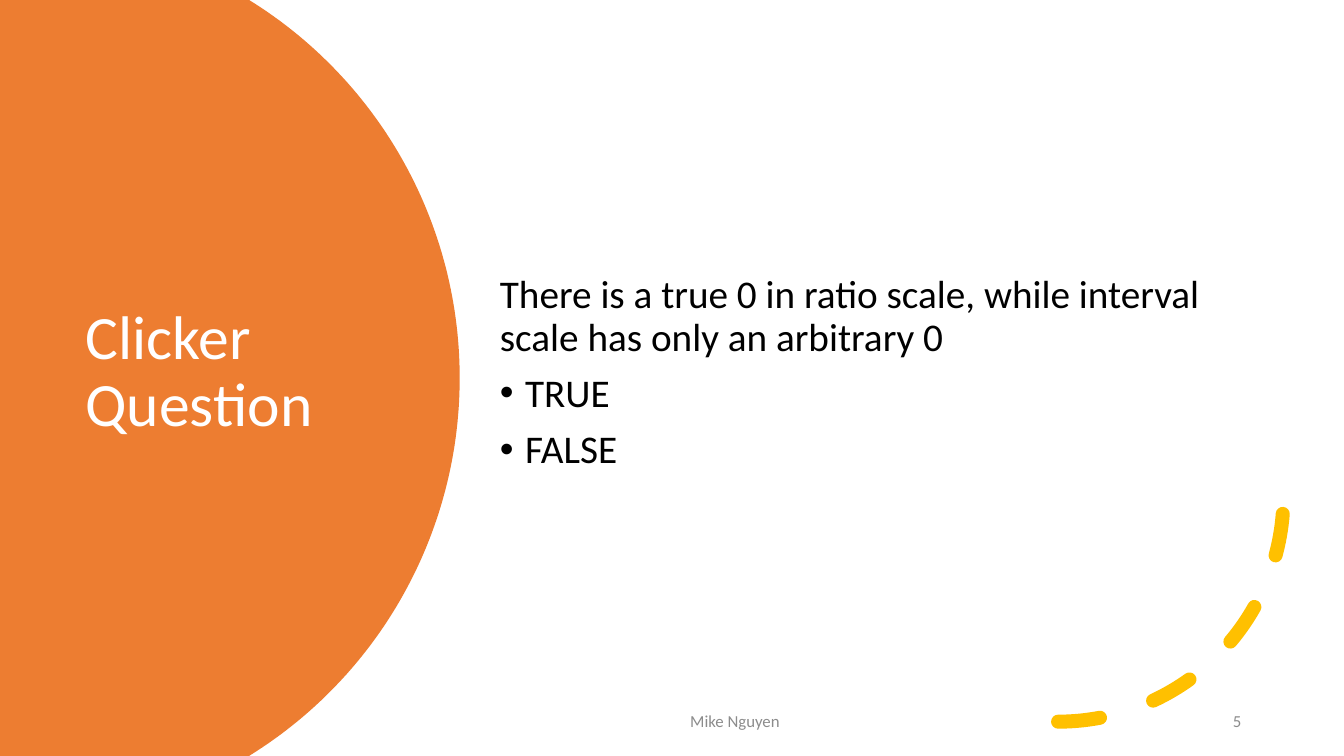
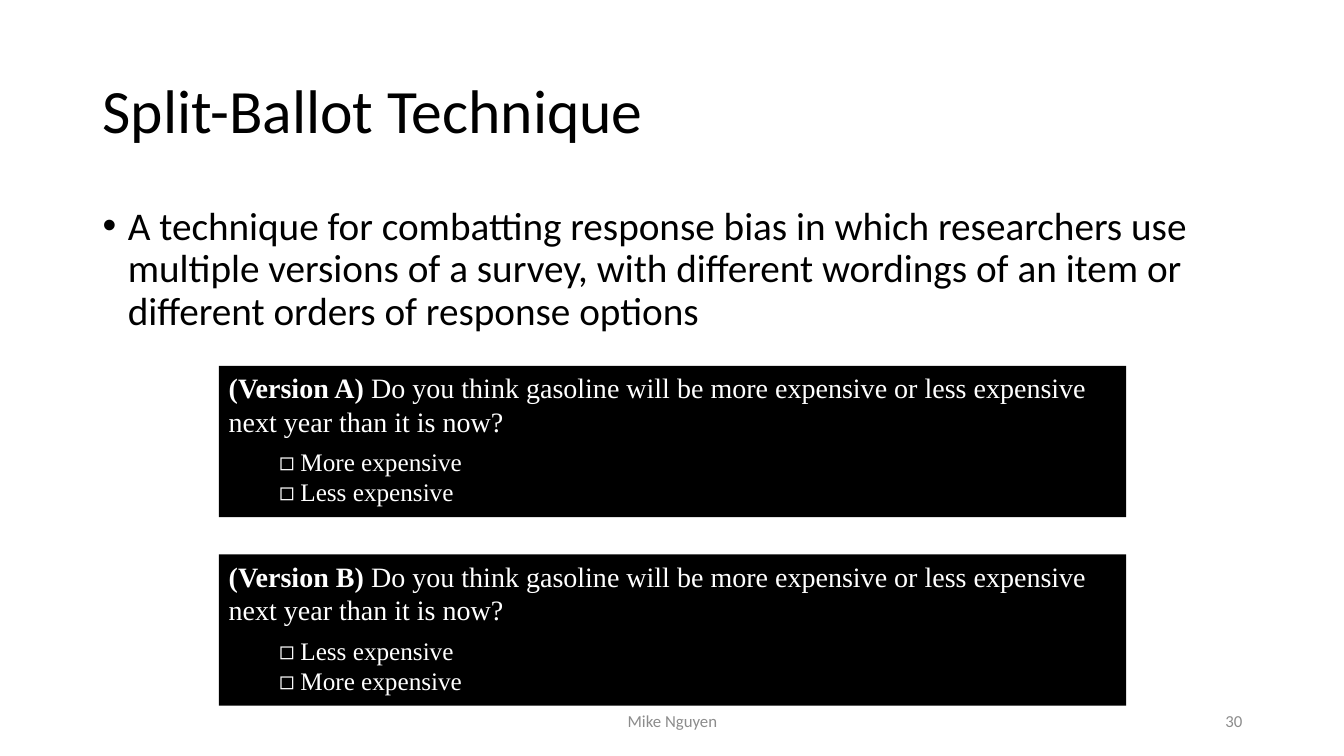
import math
from dataclasses import dataclass

from lxml import etree
from pptx import Presentation
from pptx import util as u
from pptx.dml.color import RGBColor
from pptx.enum import dml, shapes, text
from pptx.oxml.ns import qn


@dataclass(frozen=True)
class Theme:
    font: str = "Calibri"
    survey_font: str = "Times New Roman"
    black: str = "000000"
    white: str = "FFFFFF"
    orange: str = "ED7D31"
    gold: str = "FFC000"
    grey: str = "8C8C8C"
    title_size: int = 44
    body_size: int = 28
    question_size: int = 20
    option_size: int = 18
    footer_size: int = 12


THEME = Theme()
WIDTH, HEIGHT = 13.33, 7.5
AUTHOR = "Mike Nguyen"
LEFT, CENTER, RIGHT = text.PP_ALIGN.LEFT, text.PP_ALIGN.CENTER, text.PP_ALIGN.RIGHT
TOP, MIDDLE = text.MSO_ANCHOR.TOP, text.MSO_ANCHOR.MIDDLE


def inches(box):
    return [u.Inches(length) for length in box]


def fill_plain(shape, color):
    shape.shadow.inherit = False
    shape.fill.solid()
    shape.fill.fore_color.rgb = RGBColor.from_string(color)
    shape.line.fill.background()


def add_run(paragraph, words, size, color, font=THEME.font, bold=False):
    run = paragraph.add_run()
    run.text = words
    run.font.name = font
    run.font.size = u.Pt(size)
    run.font.bold = bold
    run.font.color.rgb = RGBColor.from_string(color)


def add_bullet(paragraph, indent=0.25):
    properties = paragraph._p.get_or_add_pPr()
    properties.set("marL", str(u.Inches(indent)))
    properties.set("indent", str(-u.Inches(indent)))
    etree.SubElement(properties, qn("a:buFont")).set("typeface", "Arial")
    etree.SubElement(properties, qn("a:buChar")).set("char", "•")


def next_paragraph(frame, first):
    return frame.paragraphs[0] if first else frame.add_paragraph()


def add_text_frame(slide, box, anchor):
    frame = slide.shapes.add_textbox(*inches(box)).text_frame
    frame.word_wrap = True
    frame.vertical_anchor = anchor
    return frame


def add_title(slide, box, words, color):
    paragraph = add_text_frame(slide, box, MIDDLE).paragraphs[0]
    paragraph.line_spacing = 0.9
    add_run(paragraph, words, THEME.title_size, color)


def add_body(slide, box, items, anchor):
    """Each item is a pair: its words and whether it has a bullet."""
    frame = add_text_frame(slide, box, anchor)
    for index, (words, bulleted) in enumerate(items):
        paragraph = next_paragraph(frame, index == 0)
        paragraph.line_spacing = 0.9
        paragraph.space_before = u.Pt(10)
        if bulleted:
            add_bullet(paragraph)
        add_run(paragraph, words, THEME.body_size, THEME.black)


def add_footer(slide, number, author_span, number_span, space_after=0):
    """Each span is a left edge and a width."""
    parts = ((AUTHOR, author_span, CENTER), (number, number_span, RIGHT))
    for words, (left, width), alignment in parts:
        frame = add_text_frame(slide, (left, 6.95, width, 0.4), MIDDLE)
        paragraph = frame.paragraphs[0]
        paragraph.alignment = alignment
        paragraph.space_after = u.Pt(space_after)
        add_run(paragraph, words, THEME.footer_size, THEME.grey)


def add_circle_panel(slide, right, radius, steps=120):
    """Fill the slide's left side up to a circle centred at half height."""
    center_x, center_y = right - radius, HEIGHT / 2
    sweep = math.asin(center_y / radius)
    angles = [sweep * (2 * step / steps - 1) for step in range(steps + 1)]
    edge = [(center_x + radius * math.cos(angle), center_y + radius * math.sin(angle))
            for angle in angles]
    builder = slide.shapes.build_freeform(0, 0)
    builder.add_line_segments([inches(point) for point in edge + [(0, HEIGHT)]])
    fill_plain(builder.convert_to_shape(), THEME.orange)


def add_dashed_arc(slide, box):
    arc = slide.shapes.add_shape(shapes.MSO_SHAPE.ARC, *inches(box))
    arc.shadow.inherit = False
    arc.fill.background()
    arc.line.color.rgb = RGBColor.from_string(THEME.gold)
    arc.line.width = u.Pt(10)
    arc.line.dash_style = dml.MSO_LINE.DASH
    properties = arc.element.spPr
    properties.find(qn("a:xfrm")).set("flipV", "1")
    properties.find(qn("a:ln")).set("cap", "rnd")


def add_survey_version(slide, box, version, options):
    panel = slide.shapes.add_shape(shapes.MSO_SHAPE.RECTANGLE, *inches(box))
    fill_plain(panel, THEME.black)
    frame = panel.text_frame
    frame.word_wrap = True
    frame.vertical_anchor = TOP
    question = frame.paragraphs[0]
    question.alignment = LEFT
    question.space_before = question.space_after = u.Pt(6)
    add_run(question, f"(Version {version})", THEME.question_size, THEME.white,
            THEME.survey_font, bold=True)
    add_run(question, " Do you think gasoline will be more expensive or less expensive "
            "next year than it is now?", THEME.question_size, THEME.white, THEME.survey_font)
    for option in options:
        paragraph = frame.add_paragraph()
        paragraph.alignment = LEFT
        paragraph._p.get_or_add_pPr().set("marL", str(u.Inches(0.5)))
        add_run(paragraph, "◻ ", THEME.option_size, THEME.white)
        add_run(paragraph, option, THEME.option_size, THEME.white, THEME.survey_font)


def build_question_slide(slide):
    add_circle_panel(slide, right=4.56, radius=4.41)
    add_title(slide, (0.75, 1.26, 3.5, 4.88), "Clicker Question", THEME.white)
    add_dashed_arc(slide, (8.26, 2.69, 4.47, 4.47))
    add_body(slide, (4.86, 0.65, 7.55, 6.11), [
        ("There is a true 0 in ratio scale, while interval scale has only an arbitrary 0", False),
        ("TRUE", True),
        ("FALSE", True),
    ], MIDDLE)
    add_footer(slide, "5", (4.42, 5.74), (10.43, 1.98), space_after=6)


def build_technique_slide(slide):
    add_title(slide, (0.92, 0.4, 11.5, 1.45), "Split-Ballot Technique", THEME.black)
    add_body(slide, (0.92, 2, 11.5, 4.76), [
        ("A technique for combatting response bias in which researchers use multiple "
         "versions of a survey, with different wordings of an item or different orders "
         "of response options", True),
    ], TOP)
    options = ["More expensive", "Less expensive"]
    versions = (("A", options), ("B", options[::-1]))
    for index, (version, ordered_options) in enumerate(versions):
        box = (2.17, 3.63 + 1.87 * index, 9, 1.5)
        add_survey_version(slide, box, version, ordered_options)
    add_footer(slide, "30", (4.42, 4.5), (9.42, 3))


def main():
    presentation = Presentation()
    presentation.slide_width, presentation.slide_height = inches((WIDTH, HEIGHT))
    blank = presentation.slide_layouts[6]
    for build in (build_question_slide, build_technique_slide):
        build(presentation.slides.add_slide(blank))
    presentation.save("out.pptx")


if __name__ == "__main__":
    main()
